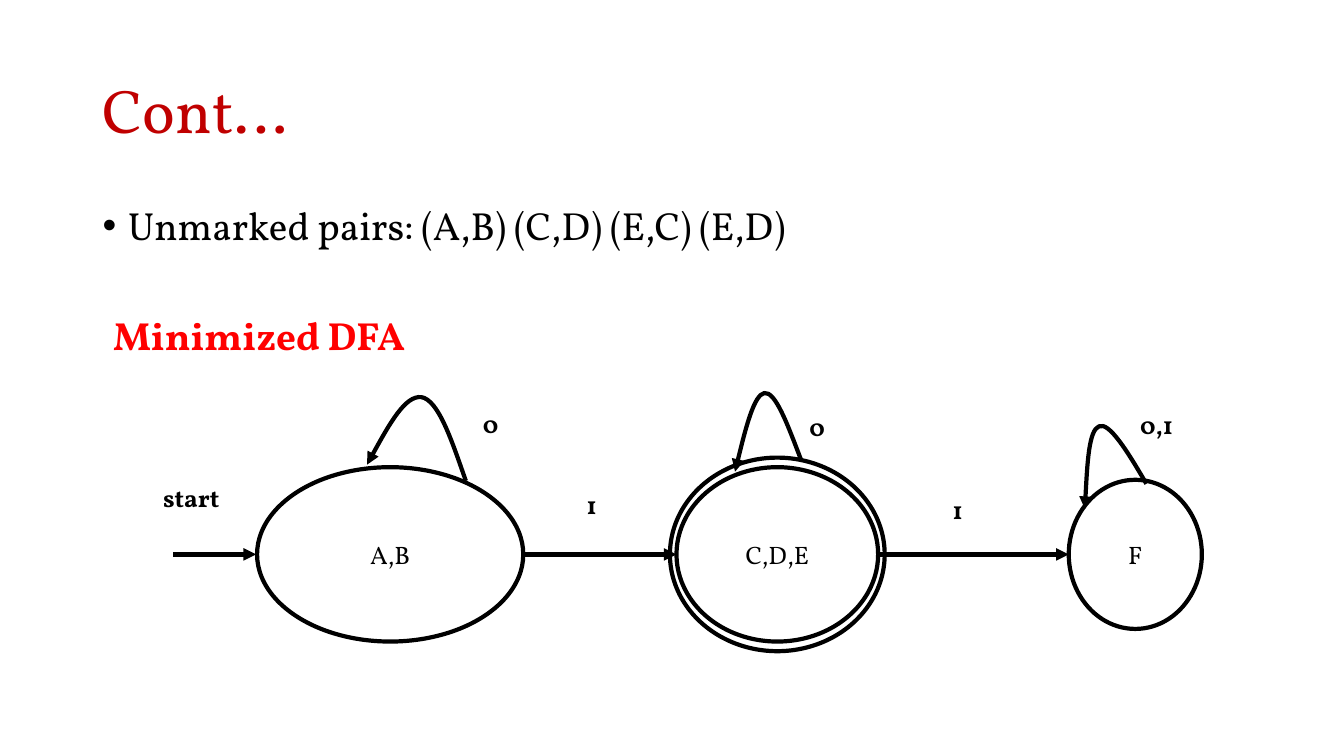
from pptx import Presentation
from pptx.dml.color import RGBColor
from pptx.enum.shapes import MSO_CONNECTOR, MSO_SHAPE
from pptx.enum.text import MSO_ANCHOR, PP_ALIGN
from pptx.oxml.ns import qn
from pptx.util import Inches, Pt
from lxml.etree import SubElement

BLACK = RGBColor(0x00, 0x00, 0x00)
WHITE = RGBColor(0xFF, 0xFF, 0xFF)
DARK_RED = RGBColor(0xC0, 0x00, 0x00)
RED = RGBColor(0xFF, 0x00, 0x00)

AXIS_Y = 5.5  # height of the state centres and the arrows between them


class AutomatonPage:
    font_name = "Vollkorn"
    line_width = Pt(3)

    def __init__(self, deck):
        self.shapes = deck.slides.add_slide(deck.slide_layouts[6]).shapes

    def set_text(self, frame, text, para_format=None, **font_format):
        frame.word_wrap = True
        para = frame.paragraphs[0]
        span = para.add_run()
        span.text = text
        color = font_format.pop("color", BLACK)
        settings = {"name": self.font_name, "size": Pt(18), **font_format}
        for name, value in settings.items():
            setattr(span.font, name, value)
        span.font.color.rgb = color
        for name, value in (para_format or {}).items():
            setattr(para, name, value)
        return para

    def text(self, text, left, top, width, height,
             anchor=MSO_ANCHOR.TOP, para_format=None, **font_format):
        box = self.shapes.add_textbox(*map(Inches, (left, top, width, height)))
        box.text_frame.vertical_anchor = anchor
        return self.set_text(box.text_frame, text, para_format, **font_format)

    def bullet(self, text, left, top, width, height, **font_format):
        para = self.text(text, left, top, width, height,
                         para_format={"alignment": PP_ALIGN.JUSTIFY, "line_spacing": 0.9},
                         **font_format)
        properties = para._p.get_or_add_pPr()
        properties.set("marL", str(Inches(0.25)))
        properties.set("indent", str(-Inches(0.25)))
        SubElement(properties, qn("a:buFont"), typeface="Arial")
        SubElement(properties, qn("a:buChar"), char="•")

    def outline(self, item, arrow=False):
        item.line.color.rgb = BLACK
        item.line.width = self.line_width
        if arrow:
            line = item._element.spPr.find(qn("a:ln"))
            SubElement(line, qn("a:tailEnd"), type="triangle")

    def state(self, center_x, width, height, text=""):
        oval = self.shapes.add_shape(
            MSO_SHAPE.OVAL, Inches(center_x - width / 2), Inches(AXIS_Y - height / 2),
            Inches(width), Inches(height))
        oval.shadow.inherit = False
        oval.fill.solid()
        oval.fill.fore_color.rgb = WHITE
        self.outline(oval)
        if text:
            oval.text_frame.vertical_anchor = MSO_ANCHOR.MIDDLE
            self.set_text(oval.text_frame, text, {"alignment": PP_ALIGN.CENTER})

    def arrow(self, start_x, end_x):
        line = self.shapes.add_connector(
            MSO_CONNECTOR.STRAIGHT, *map(Inches, (start_x, AXIS_Y, end_x, AXIS_Y)))
        self.outline(line, arrow=True)
        SubElement(line._element.spPr, qn("a:effectLst"))

    def loop(self, points):
        """Draw two joined Bézier curves through a start and six control points."""
        start, *rest = [(Inches(x), Inches(y)) for x, y in points]
        builder = self.shapes.build_freeform(*start)
        builder.add_line_segments(rest, close=False)
        curve = builder.convert_to_shape()
        route = next(curve._element.iter(qn("a:path")))
        segments = route.findall(qn("a:lnTo"))
        for first in range(0, len(segments), 3):
            bezier = SubElement(route, qn("a:cubicBezTo"))
            for segment in segments[first:first + 3]:
                bezier.append(segment[0])
                route.remove(segment)
        curve.shadow.inherit = False
        curve.fill.background()
        self.outline(curve, arrow=True)


def main():
    deck = Presentation()
    deck.slide_width, deck.slide_height = Inches(13.33), Inches(7.5)
    page = AutomatonPage(deck)

    page.text("Cont…", 0.92, 0.4, 11.5, 1.45, anchor=MSO_ANCHOR.MIDDLE,
              para_format={"line_spacing": 0.9}, size=Pt(44), color=DARK_RED)
    page.bullet("Unmarked pairs: (A,B) (C,D) (E,C) (E,D)", 0.92, 2, 11.5, 4.76, size=Pt(28))

    states = [
        (7.71, 2.13, 1.92, ""),  # outer ring of the accepting state
        (3.87, 2.64, 1.73, "A,B"),
        (7.71, 2, 1.73, "C,D,E"),
        (11.26, 1.32, 1.48, "F"),
    ]
    for state in states:
        page.state(*state)

    for start_x, end_x in [(1.72, 2.54), (5.19, 6.71), (8.71, 10.6)]:
        page.arrow(start_x, end_x)

    loops = [
        [(4.62, 4.77), (4.48, 4.37), (4.35, 3.97), (4.18, 3.94),
         (4.02, 3.92), (3.83, 4.26), (3.64, 4.61)],
        [(7.94, 4.55), (7.81, 4.21), (7.69, 3.88), (7.58, 3.9),
         (7.48, 3.92), (7.38, 4.3), (7.29, 4.68)],
        [(11.37, 4.8), (11.19, 4.49), (11, 4.18), (10.9, 4.23),
         (10.8, 4.27), (10.78, 4.66), (10.76, 5.05)],
    ]
    for points in loops:
        page.loop(points)

    labels = [
        ("start", 1.52, 4.74, 1.21),
        ("0", 4.69, 4, 0.53),
        ("0", 7.93, 4.03, 0.53),
        ("0,1", 11.21, 4.01, 0.9),
        ("1", 5.72, 4.81, 0.47),
        ("1", 9.35, 4.86, 0.47),
    ]
    for text, left, top, width in labels:
        page.text(text, left, top, width, 0.7, bold=True)

    page.text("Minimized DFA", 0.92, 3.04, 3.3, 0.57,
              para_format={"alignment": PP_ALIGN.CENTER},
              size=Pt(28), bold=True, color=RED)

    deck.save("out.pptx")


if __name__ == "__main__":
    main()
